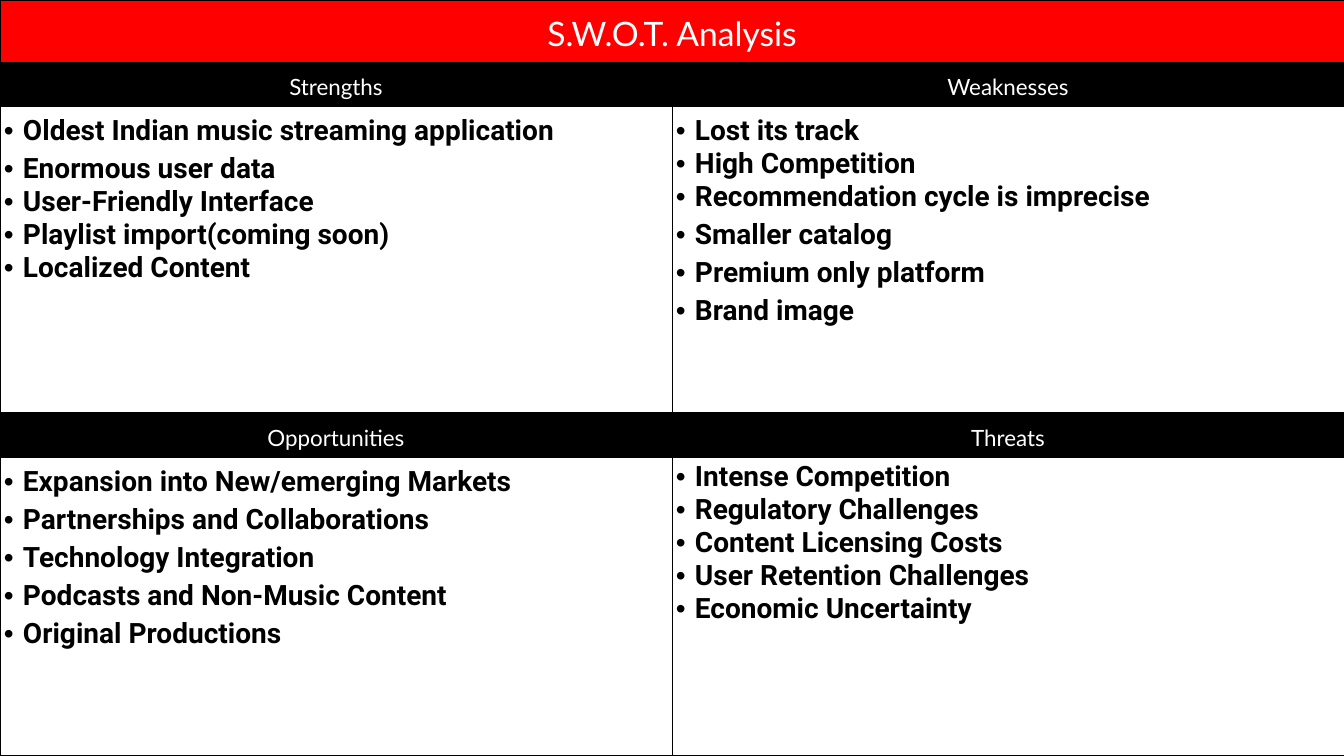
from lxml import etree
from pptx import Presentation
from pptx.dml.color import RGBColor
from pptx.enum.text import MSO_ANCHOR, PP_ALIGN
from pptx.oxml.ns import qn
from pptx.util import Emu, Pt

CENTER = PP_ALIGN.CENTER
LEFT = PP_ALIGN.LEFT
MIDDLE = MSO_ANCHOR.MIDDLE
TOP = MSO_ANCHOR.TOP

RED = RGBColor(0xFF, 0x00, 0x00)
BLACK = RGBColor(0x00, 0x00, 0x00)
WHITE = RGBColor(0xFF, 0xFF, 0xFF)

PX_PER_INCH = 100.8
SLIDE_WIDTH, SLIDE_HEIGHT = 1344, 756
ROW_HEIGHTS = [62, 45, 306, 45, 298]
INSET_X, INSET_Y = 4, 3
BULLET_INDENT = 19
LOOSE, TIGHT = 1.15, 1.0

QUADRANTS = [
    ("Strengths", [
        ("Oldest Indian music streaming application", LOOSE),
        ("Enormous user data", LOOSE),
        ("User-Friendly Interface", TIGHT),
        ("Playlist import(coming soon)", TIGHT),
        ("Localized Content", TIGHT),
    ]),
    ("Weaknesses", [
        ("Lost its track", LOOSE),
        ("High Competition", TIGHT),
        ("Recommendation cycle is imprecise", TIGHT),
        ("Smaller catalog", LOOSE),
        ("Premium only platform", LOOSE),
        ("Brand image", LOOSE),
    ]),
    ("Opportunities", [
        ("Expansion into New/emerging Markets", LOOSE),
        ("Partnerships and Collaborations", LOOSE),
        ("Technology Integration", LOOSE),
        ("Podcasts and Non-Music Content", LOOSE),
        ("Original Productions", LOOSE),
    ]),
    ("Threats", [
        ("Intense Competition", TIGHT),
        ("Regulatory Challenges", TIGHT),
        ("Content Licensing Costs", TIGHT),
        ("User Retention Challenges", TIGHT),
        ("Economic Uncertainty", TIGHT),
    ]),
]


def px(length):
    return Emu(round(length * 914400 / PX_PER_INCH))


def add_borders(cell):
    properties = cell._tc.get_or_add_tcPr()
    for side in ("a:lnL", "a:lnR", "a:lnT", "a:lnB"):
        line = etree.SubElement(properties, qn(side), w=str(Pt(0.75)))
        fill = etree.SubElement(line, qn("a:solidFill"))
        etree.SubElement(fill, qn("a:srgbClr"), val=str(BLACK))


def format_cell(cell, color, anchor):
    cell.fill.solid()
    cell.fill.fore_color.rgb = color
    cell.vertical_anchor = anchor
    cell.margin_left = cell.margin_right = px(INSET_X)
    cell.margin_top = cell.margin_bottom = px(INSET_Y)


def add_bullet(paragraph):
    properties = paragraph._p.get_or_add_pPr()
    properties.set("marL", str(px(BULLET_INDENT)))
    properties.set("indent", str(-px(BULLET_INDENT)))
    etree.SubElement(properties, qn("a:buFont"), typeface="Arial")
    etree.SubElement(properties, qn("a:buChar"), char="•")


def format_paragraph(paragraph, font_name, size, color, bold, alignment, spacing):
    paragraph.alignment = alignment
    paragraph.line_spacing = spacing
    font = paragraph.font
    font.name = font_name
    font.size = Pt(size)
    font.bold = bold
    font.color.rgb = color


def fill_heading(cell, text, size, color):
    format_cell(cell, color, MIDDLE)
    paragraph = cell.text_frame.paragraphs[0]
    paragraph.text = text
    format_paragraph(paragraph, "Lato", size, WHITE, False, CENTER, LOOSE)


def fill_bullets(cell, items):
    format_cell(cell, WHITE, TOP)
    text_frame = cell.text_frame
    for index, (text, spacing) in enumerate(items):
        paragraph = text_frame.add_paragraph() if index else text_frame.paragraphs[0]
        paragraph.text = text
        add_bullet(paragraph)
        format_paragraph(paragraph, "Roboto", 20, BLACK, True, LEFT, spacing)


def add_swot_table(slide):
    frame = slide.shapes.add_table(
        len(ROW_HEIGHTS), 2, 0, 0, px(SLIDE_WIDTH), px(SLIDE_HEIGHT))
    table = frame.table
    table.first_row = False
    table.horz_banding = False
    for column in table.columns:
        column.width = px(SLIDE_WIDTH // 2)
    for row, height in zip(table.rows, ROW_HEIGHTS):
        row.height = px(height)
    for cell in table.iter_cells():
        add_borders(cell)
    return table


def main():
    presentation = Presentation()
    presentation.slide_width = px(SLIDE_WIDTH)
    presentation.slide_height = px(SLIDE_HEIGHT)
    slide = presentation.slides.add_slide(presentation.slide_layouts[6])

    table = add_swot_table(slide)
    table.cell(0, 0).merge(table.cell(0, 1))
    fill_heading(table.cell(0, 0), "S.W.O.T. Analysis", 24, RED)
    for index, (heading, items) in enumerate(QUADRANTS):
        band, column = divmod(index, 2)
        heading_row = 1 + 2 * band
        fill_heading(table.cell(heading_row, column), heading, 16, BLACK)
        fill_bullets(table.cell(heading_row + 1, column), items)

    presentation.save("out.pptx")


if __name__ == "__main__":
    main()
